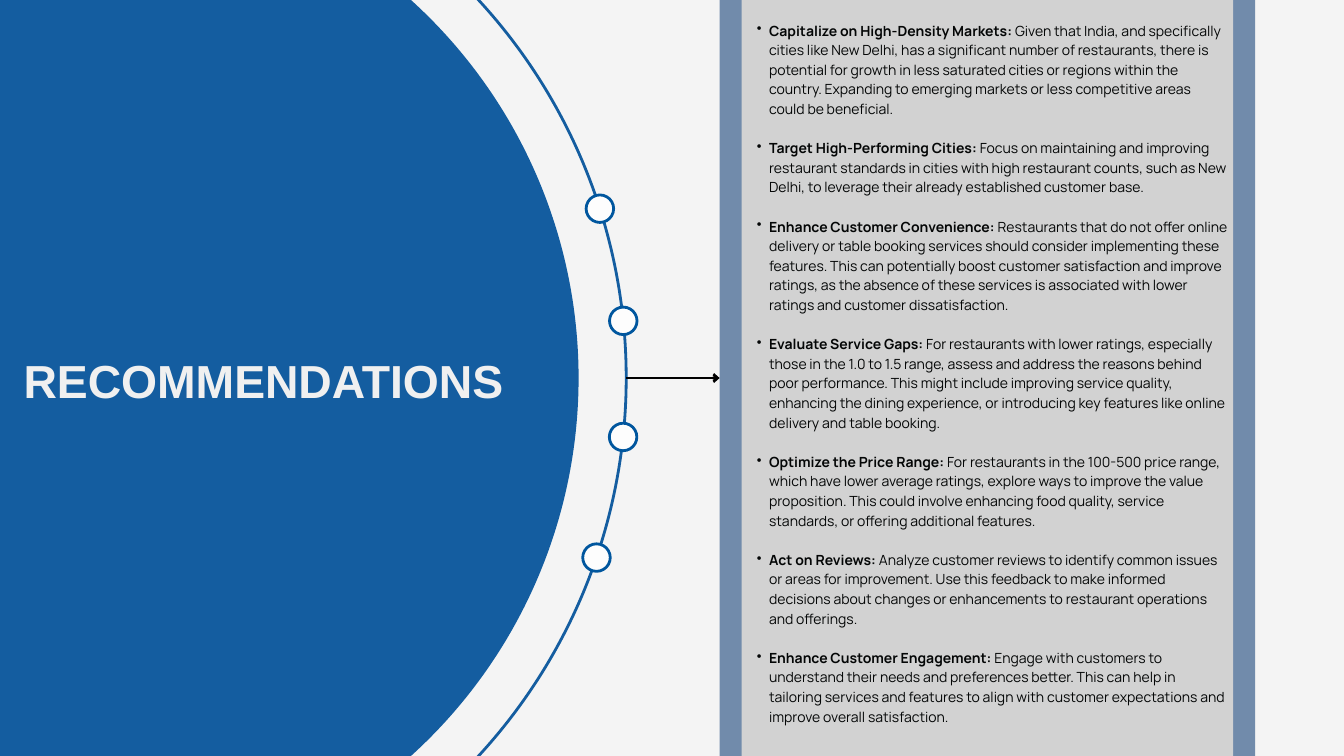
import dataclasses
import math

import lxml.etree
import pptx
import pptx.dml.color
import pptx.enum.shapes
import pptx.enum.text
import pptx.oxml.ns
import pptx.util

Cm = pptx.util.Cm
Pt = pptx.util.Pt
SHAPE = pptx.enum.shapes.MSO_SHAPE
ANCHOR = pptx.enum.text.MSO_ANCHOR


@dataclasses.dataclass(frozen=True)
class Theme:
    """Colours, fonts and type sizes of the slide."""
    page: str = "F4F4F4"
    disc: str = "145DA0"
    dot: str = "FDFDFD"
    dot_line: str = "00569E"
    frame: str = "718BAB"
    panel: str = "D2D2D2"
    title: str = "F0F0F0"
    ink: str = "040606"
    arrow: str = "000000"
    title_font: str = "Arial"
    body_font: str = "Manrope"
    title_size: float = 49.6
    title_spacing: float = 69.5
    body_size: float = 15
    body_spacing: float = 21
    stroke: float = 3


T = Theme()
WIDTH, HEIGHT = 50.8, 28.58
MIDDLE = HEIGHT / 2
RING_X, RING_RADIUS, DISC_RADIUS = 2.59, 21.08, 19.28
DOT_RADIUS = 0.52
DOT_HEIGHTS = (7.89, 12.13, 16.52, 21.08)

ADVICE = (
    ("Capitalize on High-Density Markets:",
     "Given that India, and specifically cities like New Delhi, has a significant number of "
     "restaurants, there is potential for growth in less saturated cities or regions within the "
     "country. Expanding to emerging markets or less competitive areas could be beneficial."),
    ("Target High-Performing Cities:",
     "Focus on maintaining and improving restaurant standards in cities with high restaurant "
     "counts, such as New Delhi, to leverage their already established customer base."),
    ("Enhance Customer Convenience:",
     "Restaurants that do not offer online delivery or table booking services should consider "
     "implementing these features. This can potentially boost customer satisfaction and improve "
     "ratings, as the absence of these services is associated with lower ratings and customer "
     "dissatisfaction."),
    ("Evaluate Service Gaps:",
     "For restaurants with lower ratings, especially those in the 1.0 to 1.5 range, assess and "
     "address the reasons behind poor performance. This might include improving service quality, "
     "enhancing the dining experience, or introducing key features like online delivery and "
     "table booking."),
    ("Optimize the Price Range:",
     "For restaurants in the 100-500 price range, which have lower average ratings, explore ways "
     "to improve the value proposition. This could involve enhancing food quality, service "
     "standards, or offering additional features."),
    ("Act on Reviews:",
     "Analyze customer reviews to identify common issues or areas for improvement. Use this "
     "feedback to make informed decisions about changes or enhancements to restaurant operations "
     "and offerings."),
    ("Enhance Customer Engagement:",
     "Engage with customers to understand their needs and preferences better. This can help in "
     "tailoring services and features to align with customer expectations and improve overall "
     "satisfaction."),
)


def rgb(value):
    """Return the colour for a hex string."""
    return pptx.dml.color.RGBColor.from_string(value)


def add_text(p, text, font, size, color, bold=False):
    """Add one formatted run to a paragraph."""
    r = p.add_run()
    r.text = text
    r.font.name = font
    r.font.size = Pt(size)
    r.font.bold = bold
    r.font.color.rgb = rgb(color)


def add_figure(s, kind, x, y, w, h, fill=None, line=None):
    """Add a flat preset shape with an optional fill and outline."""
    sp = s.shapes.add_shape(kind, Cm(x), Cm(y), Cm(w), Cm(h))
    sp.shadow.inherit = False
    if fill:
        sp.fill.solid()
        sp.fill.fore_color.rgb = rgb(fill)
    else:
        sp.fill.background()
    if line:
        sp.line.color.rgb = rgb(line)
        sp.line.width = Pt(T.stroke)
    else:
        sp.line.fill.background()
    return sp


def add_circle(s, cx, cy, radius, **style):
    """Add a circle around a centre."""
    return add_figure(s, SHAPE.OVAL, cx - radius, cy - radius, 2 * radius, 2 * radius, **style)


def set_insets(tf, inset):
    """Give a text frame the same inset on all sides."""
    tf.margin_left = tf.margin_top = tf.margin_right = tf.margin_bottom = Cm(inset)


def add_bullet(p, left, hang):
    """Give a paragraph a hanging bullet."""
    pPr = p._p.get_or_add_pPr()
    pPr.set("marL", str(Cm(left)))
    pPr.set("indent", str(-Cm(hang)))
    bu = lxml.etree.SubElement(pPr, pptx.oxml.ns.qn("a:buChar"))
    bu.set("char", "•")


def add_title_disc(s, cx, cy):
    """Place the ring, the disc with the title, and the dots on the ring."""
    add_circle(s, cx, cy, RING_RADIUS, line=T.disc)
    disc = add_circle(s, cx, cy, DISC_RADIUS, fill=T.disc)

    title = s.shapes.title
    disc.element.addnext(title.element)
    title.left, title.top = Cm(cx - 1.7), Cm(cy - 1.31)
    title.width, title.height = Cm(19.94), Cm(2.34)
    tf = title.text_frame
    tf.auto_size = pptx.enum.text.MSO_AUTO_SIZE.NONE
    tf.word_wrap = True
    tf.vertical_anchor = ANCHOR.TOP
    set_insets(tf, 0)
    p = tf.paragraphs[0]
    p.alignment = pptx.enum.text.PP_ALIGN.LEFT
    p.line_spacing = Pt(T.title_spacing)
    add_text(p, "RECOMMENDATIONS", T.title_font, T.title_size, T.title, bold=True)

    for y in DOT_HEIGHTS:
        x = cx + math.sqrt(RING_RADIUS ** 2 - (y - cy) ** 2)
        add_circle(s, x, y, DOT_RADIUS, fill=T.dot, line=T.dot_line)


def add_advice_panel(s, x, y, w, h):
    """Place the framed panel with its bulleted advice and return the frame."""
    border = 0.83
    inner_x, inner_w = x + border, w - 2 * border
    frame = add_figure(s, SHAPE.RECTANGLE, x, y, w, h, fill=T.frame)
    add_figure(s, SHAPE.RECTANGLE, inner_x, y, inner_w, h, fill=T.panel)

    box = s.shapes.add_textbox(Cm(inner_x), Cm(y - 0.51), Cm(inner_w), Cm(h + 0.58))
    tf = box.text_frame
    tf.word_wrap = True
    tf.vertical_anchor = ANCHOR.MIDDLE
    set_insets(tf, 0.15)
    for i, (heading, detail) in enumerate(ADVICE):
        p = tf.add_paragraph() if i else tf.paragraphs[0]
        p.line_spacing = Pt(T.body_spacing)
        p.space_before = Pt(T.body_spacing if i else 0)
        add_bullet(p, 0.89, 0.46)
        add_text(p, heading, T.body_font, T.body_size, T.ink, bold=True)
        add_text(p, " " + detail, T.body_font, T.body_size, T.ink)
    return frame


def add_arrow(s, x, y, target):
    """Draw an arrow from a point to the left side of a rectangle."""
    line = s.shapes.add_connector(
        pptx.enum.shapes.MSO_CONNECTOR.STRAIGHT, Cm(x), Cm(y), target.left, Cm(y))
    line.end_connect(target, 1)
    line.line.color.rgb = rgb(T.arrow)
    line.line.width = Pt(T.stroke)
    spPr = line.element.spPr
    head = lxml.etree.SubElement(line.line._get_or_add_ln(), pptx.oxml.ns.qn("a:tailEnd"))
    head.set("type", "arrow")
    head.set("w", "med")
    head.set("len", "sm")
    lxml.etree.SubElement(spPr, pptx.oxml.ns.qn("a:effectLst"))


def main():
    """Build the recommendations slide."""
    prs = pptx.Presentation()
    prs.slide_width, prs.slide_height = Cm(WIDTH), Cm(HEIGHT)
    s = prs.slides.add_slide(prs.slide_layouts.get_by_name("Title Only"))
    s.background.fill.solid()
    s.background.fill.fore_color.rgb = rgb(T.page)
    add_title_disc(s, RING_X, MIDDLE)
    frame = add_advice_panel(s, 27.2, 0, 20.24, HEIGHT)
    add_arrow(s, RING_X + RING_RADIUS, MIDDLE, frame)
    prs.save("out.pptx")


if __name__ == "__main__":
    main()
